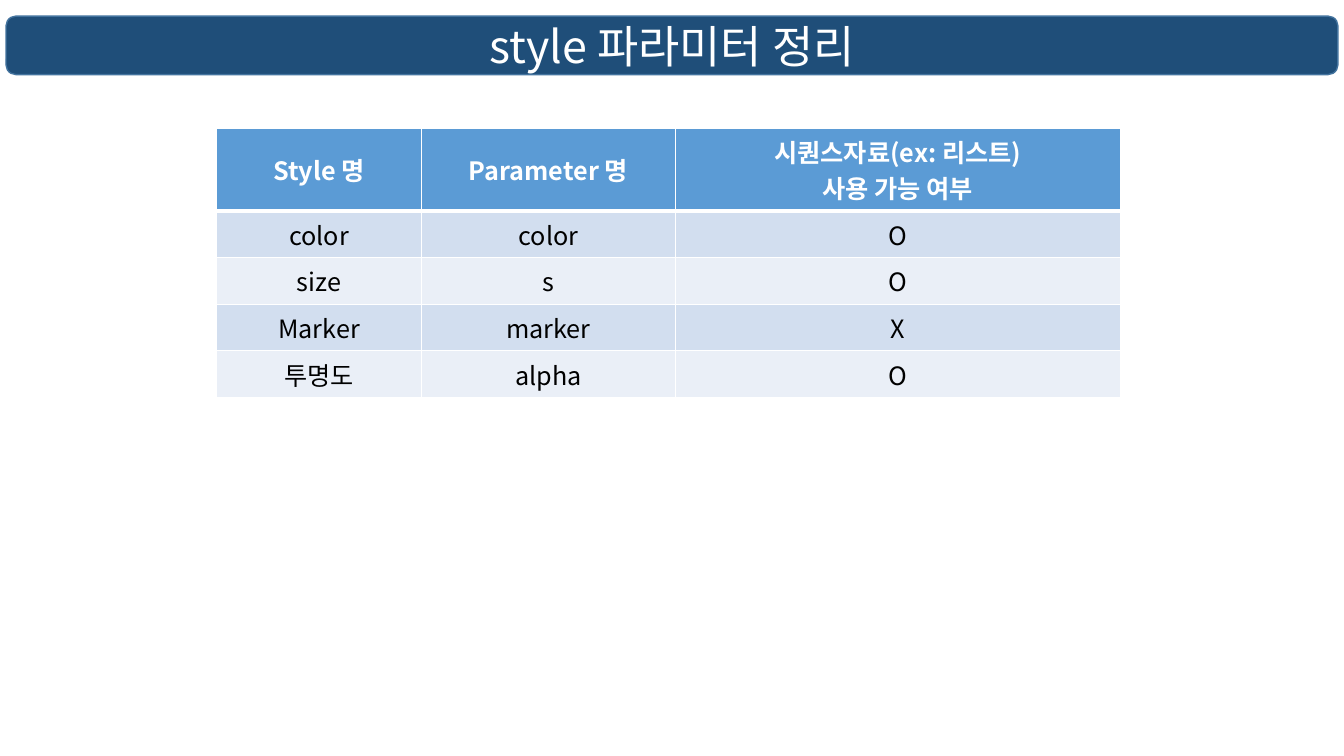
from lxml import etree
from pptx import Presentation
from pptx.dml.color import RGBColor
from pptx.enum.shapes import MSO_SHAPE
from pptx.enum.text import MSO_ANCHOR, PP_ALIGN
from pptx.oxml.ns import qn
from pptx.util import Inches, Pt

ROUNDED = MSO_SHAPE.ROUNDED_RECTANGLE
MIDDLE, TOP = MSO_ANCHOR.MIDDLE, MSO_ANCHOR.TOP
CENTER = PP_ALIGN.CENTER

FONT = "Noto Sans CJK KR"
WHITE = RGBColor(0xFF, 0xFF, 0xFF)
BLACK = RGBColor(0, 0, 0)
NAVY = RGBColor(0x1F, 0x4E, 0x79)
STEEL = RGBColor(0x43, 0x73, 0x9E)
BLUE = RGBColor(0x5B, 0x9B, 0xD5)
BANDS = (RGBColor(0xD2, 0xDE, 0xEF), RGBColor(0xEA, 0xEF, 0xF7))

COLUMN_WIDTHS = (2.03, 2.52, 4.41)
HEADER_HEIGHT, ROW_HEIGHT = 0.81, 0.46
ROWS = (
    ("Style 명", "Parameter 명", "시퀀스자료(ex: 리스트)\n사용 가능 여부"),
    ("color", "color", "O"),
    ("size", "s", "O"),
    ("Marker", "marker", "X"),
    ("투명도", "alpha", "O"),
)


def write_text(tf, text, size, color, bold=False):
    p = tf.paragraphs[0]
    p.alignment = CENTER
    for i, line in enumerate(text.split("\n")):
        if i:
            p.add_line_break()
        r = p.add_run()
        r.text = line
        r.font.size = Pt(size)
        r.font.bold = bold
        r.font.color.rgb = color
        r.font.name = FONT
        etree.SubElement(r.font._element, qn("a:ea"), typeface=FONT)


def add_border(cell, side, width):
    ln = etree.SubElement(cell._tc.get_or_add_tcPr(), qn(f"a:ln{side}"), w=str(Pt(width)))
    fill = etree.SubElement(ln, qn("a:solidFill"))
    etree.SubElement(fill, qn("a:srgbClr"), val=str(WHITE))


def add_title(slide, text):
    sp = slide.shapes.add_shape(ROUNDED, Inches(0.06), Inches(0.16), Inches(13.21), Inches(0.58))
    sp.shadow.inherit = False
    sp.fill.solid()
    sp.fill.fore_color.rgb = NAVY
    sp.line.color.rgb = STEEL
    sp.line.width = Pt(1)
    sp.text_frame.word_wrap = True
    sp.text_frame.vertical_anchor = MIDDLE
    write_text(sp.text_frame, text, 32, WHITE)


def fill_cell(cell, text, row):
    header = row == 0
    widths = {"L": 1, "R": 1, "T": 3 if row == 1 else 1, "B": 3 if header else 1}
    for side, width in widths.items():
        add_border(cell, side, width)
    cell.fill.solid()
    cell.fill.fore_color.rgb = BLUE if header else BANDS[(row - 1) % 2]
    cell.vertical_anchor = MIDDLE if header else TOP
    write_text(cell.text_frame, text, 18, WHITE if header else BLACK, header)


def add_parameter_table(slide):
    heights = [HEADER_HEIGHT] + [ROW_HEIGHT] * (len(ROWS) - 1)
    frame = slide.shapes.add_table(
        len(ROWS), len(COLUMN_WIDTHS), Inches(2.15), Inches(1.27),
        Inches(sum(COLUMN_WIDTHS)), Inches(sum(heights)))
    table = frame.table
    for column, width in zip(table.columns, COLUMN_WIDTHS):
        column.width = Inches(width)
    for i, (height, texts) in enumerate(zip(heights, ROWS)):
        table.rows[i].height = Inches(height)
        for j, text in enumerate(texts):
            fill_cell(table.cell(i, j), text, i)


def main():
    prs = Presentation()
    prs.slide_width, prs.slide_height = Inches(13.33), Inches(7.5)
    slide = prs.slides.add_slide(prs.slide_layouts[6])
    add_title(slide, "style 파라미터 정리")
    add_parameter_table(slide)
    prs.save("out.pptx")


if __name__ == "__main__":
    main()
